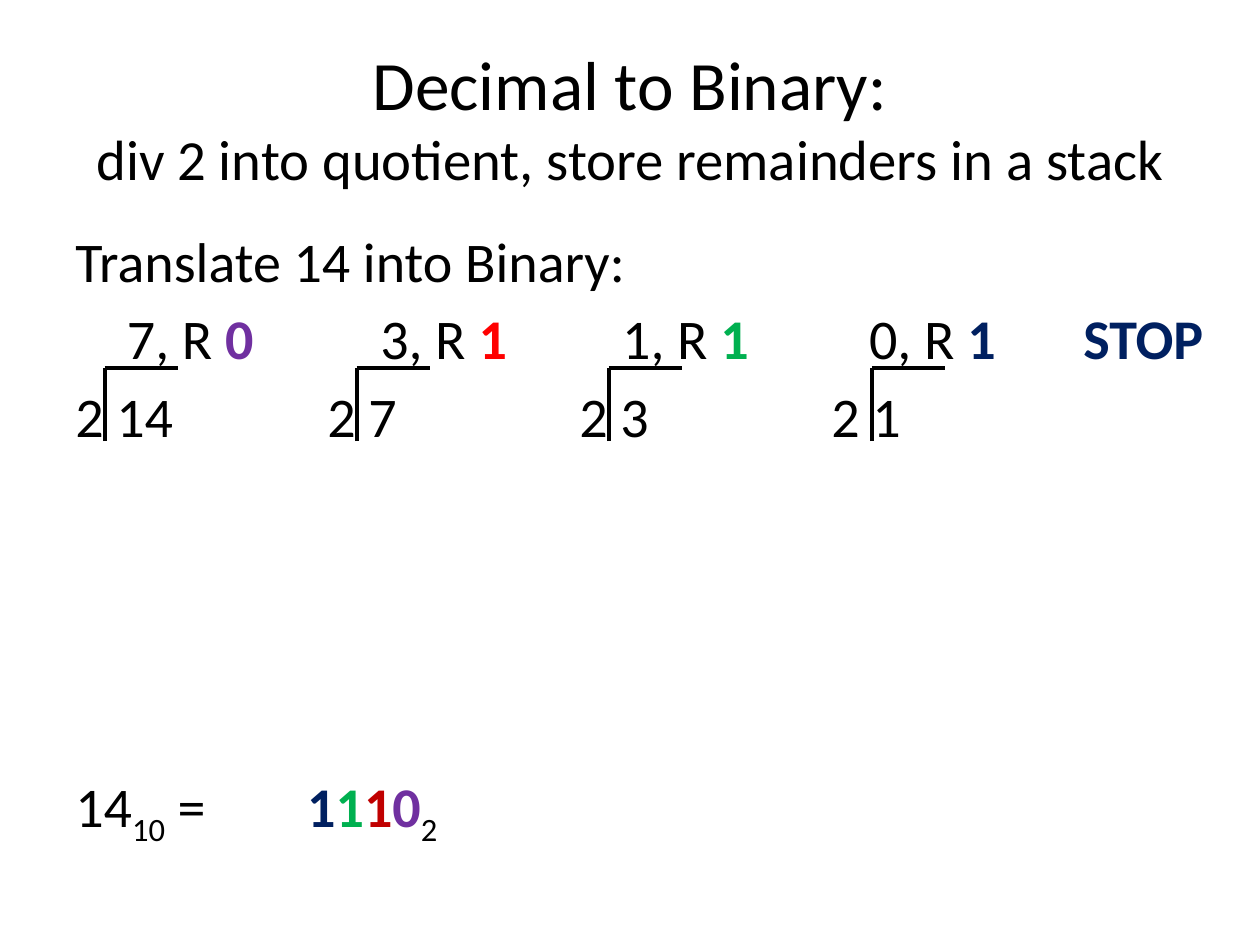
"""Build the slide on converting decimal 14 to binary by repeated division."""
from lxml import etree
from pptx import Presentation
from pptx.dml.color import RGBColor
from pptx.enum.shapes import MSO_CONNECTOR
from pptx.enum.text import MSO_ANCHOR, PP_ALIGN
from pptx.oxml.ns import qn
from pptx.util import Inches, Pt

STRAIGHT = MSO_CONNECTOR.STRAIGHT
MIDDLE, TOP = MSO_ANCHOR.MIDDLE, MSO_ANCHOR.TOP
CENTER, LEFT = PP_ALIGN.CENTER, PP_ALIGN.LEFT

BLACK = RGBColor(0, 0, 0)
PURPLE = RGBColor(0x70, 0x30, 0xA0)
RED = RGBColor(0xFF, 0, 0)
DARK_RED = RGBColor(0xC0, 0, 0)
GREEN = RGBColor(0, 0xB0, 0x50)
NAVY = RGBColor(0, 0x20, 0x60)
FONT = "Calibri"
BODY_SIZE = 32

TITLE = [("Decimal to Binary:", 39.6),
         ("div 2 into quotient, store remainders in a stack", 32.4)]
STEPS = [("14", "7", "0", PURPLE), ("7", "3", "1", RED),
         ("3", "1", "1", GREEN), ("1", "0", "1", NAVY)]
ANSWER = [("14", BLACK, False), ("10", BLACK, True), (" =\t", BLACK, False),
          ("1", NAVY, False), ("1", GREEN, False), ("1", DARK_RED, False),
          ("0", PURPLE, False), ("2", BLACK, True)]
RESULT_TABS = (0.41, 2.42, 4.34, 6.3, 8)
DIVISION_TABS = (2, 4, 6)
ANSWER_TABS = (1.84,)
BRACKET_LEFTS = (0.83, 2.83, 4.83, 6.92)
BRACKET_TOP, BRACKET_SIZE = 2.92, 0.58


def add_text_box(s, left, top, width, height, anchor):
    tf = s.shapes.add_textbox(Inches(left), Inches(top), Inches(width), Inches(height)).text_frame
    tf.word_wrap = True
    tf.vertical_anchor = anchor
    return tf


def add_run(p, text, color=BLACK, subscript=False, size=BODY_SIZE):
    r = p.add_run()
    r.text = text
    r.font.name = FONT
    r.font.size = Pt(size)
    r.font.color.rgb = color
    r.font.bold = color != BLACK
    if subscript:
        r.font._element.set("baseline", "-25000")


def set_tabs(p, stops):
    tabs = etree.SubElement(p._p.get_or_add_pPr(), qn("a:tabLst"))
    for stop in stops:
        etree.SubElement(tabs, qn("a:tab"), pos=str(Inches(stop)), algn="l")


def add_line(s, x1, y1, x2, y2):
    line = s.shapes.add_connector(STRAIGHT, Inches(x1), Inches(y1), Inches(x2), Inches(y2))
    line.line.color.rgb = BLACK
    line.line.width = Pt(2.25)
    etree.SubElement(line._element.spPr, qn("a:effectLst"))


prs = Presentation()
prs.slide_width, prs.slide_height = Inches(10), Inches(7.5)
s = prs.slides.add_slide(prs.slide_layouts[6])

p = add_text_box(s, 0.5, 0.3, 9, 1.25, MIDDLE).paragraphs[0]
p.alignment = CENTER
for i, (text, size) in enumerate(TITLE):
    if i:
        p.add_line_break()
    add_run(p, text, size=size)

results = []
for _, quotient, remainder, color in STEPS:
    results += [(f"\t{quotient}, R ", BLACK, False), (remainder, color, False)]
results.append(("\tSTOP", NAVY, False))
divisions = "\t".join(f"2 {dividend}" for dividend, *_ in STEPS)

BODY = [([("Translate 14 into Binary:", BLACK, False)], (), 0),
        (results, RESULT_TABS, 5.7),
        ([(divisions, BLACK, False)], DIVISION_TABS, 5.7),
        (ANSWER, ANSWER_TABS, 184.7)]
tf = add_text_box(s, 0.5, 1.75, 9.5, 4.95, TOP)
for i, (runs, stops, gap) in enumerate(BODY):
    p = tf.add_paragraph() if i else tf.paragraphs[0]
    p.alignment = LEFT
    p.space_before = Pt(gap)
    if stops:
        set_tabs(p, stops)
    for run in runs:
        add_run(p, *run)

for x in BRACKET_LEFTS:
    add_line(s, x, BRACKET_TOP + BRACKET_SIZE, x, BRACKET_TOP)
    add_line(s, x, BRACKET_TOP, x + BRACKET_SIZE, BRACKET_TOP)

prs.save("out.pptx")
